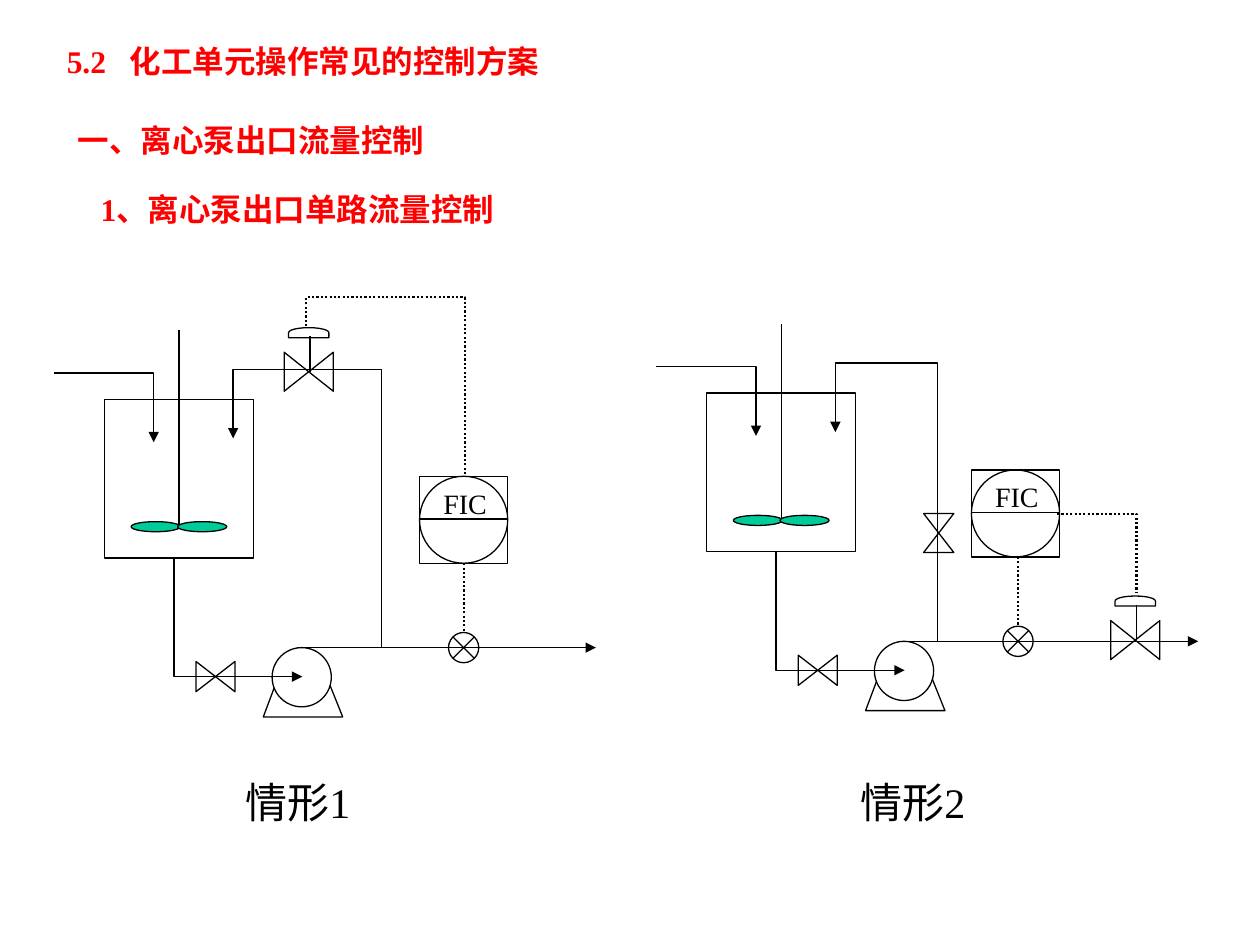
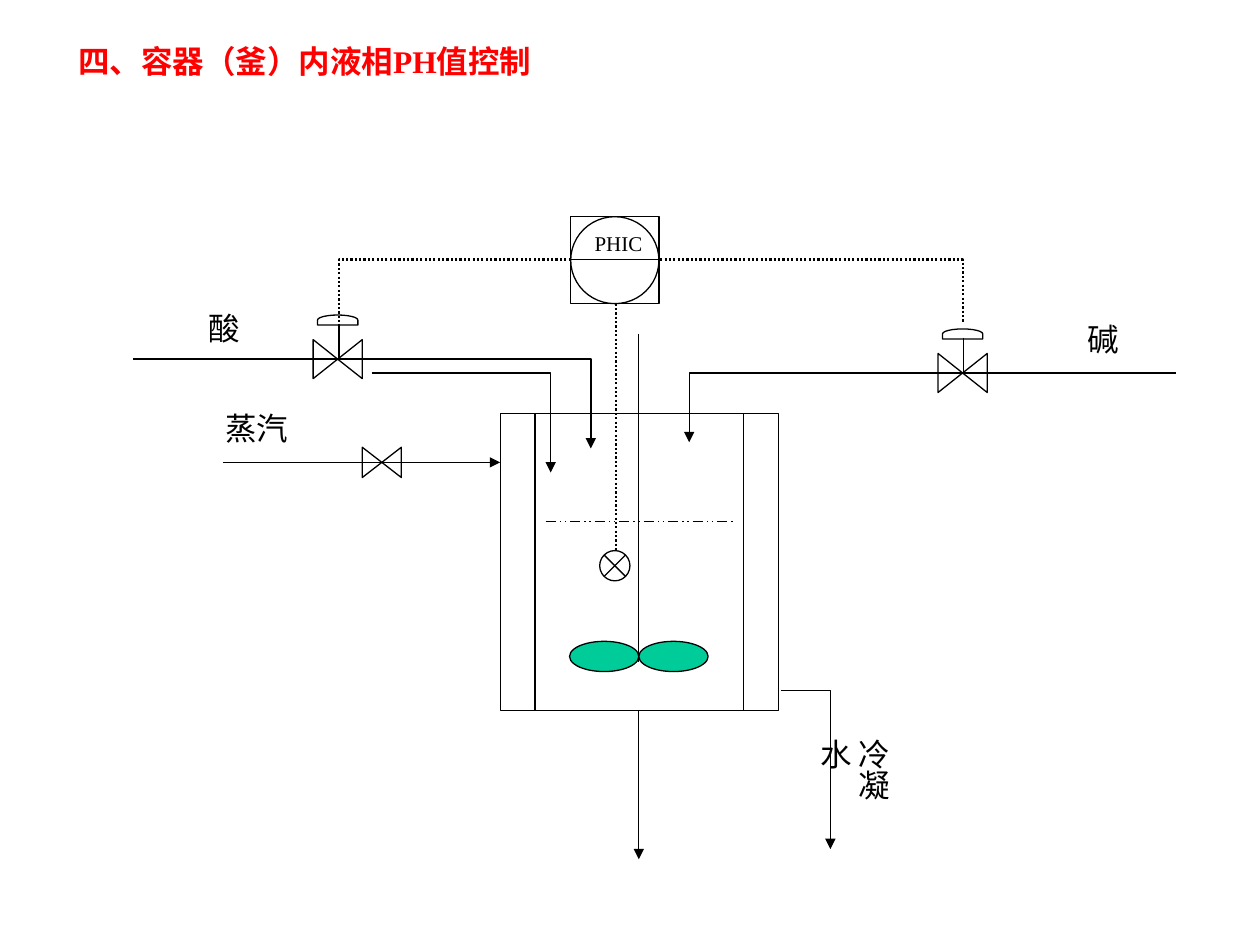
from dataclasses import dataclass

from lxml.etree import SubElement
from pptx import Presentation
from pptx.dml.color import RGBColor
from pptx.enum.dml import MSO_LINE as Dash
from pptx.enum.shapes import MSO_CONNECTOR, MSO_SHAPE as Preset
from pptx.enum.text import MSO_ANCHOR, MSO_AUTO_SIZE, PP_ALIGN
from pptx.oxml.ns import qn
from pptx.util import Inches, Pt


@dataclass(frozen=True)
class Theme:
    font: str = "Times New Roman"
    heading: RGBColor = RGBColor(0xFF, 0, 0)
    ink: RGBColor = RGBColor(0, 0, 0)
    paper: RGBColor = RGBColor(0xFF, 0xFF, 0xFF)
    blade: RGBColor = RGBColor(0, 0xCC, 0x99)
    body_size: float = 18
    caption_size: float = 24
    line: float = 0.75
    signal: float = 1.25


THEME = Theme()

FLOW_TITLE = ("5.2\t化工单元操作常见的控制方案", (0.43, 0.28, 6.85, 0.4))
FLOW_HEADINGS = [
    ("一、离心泵出口流量控制", (0.52, 0.91, 4.72, 0.4)),
    ("1、离心泵出口单路流量控制", (0.7, 1.46, 4.72, 0.4)),
]
FLOW_CASES = [
    dict(
        caption=("情形1", (1.85, 6.11, 1.18, 0.5)),
        tank=(0.83, 3.17),
        recycle_x=3.03,
        control_valve=(2.45, 2.95),
        hand_valve=None,
        controller=(3.33, 3.78),
        sensor_x=3.68,
        signal=[(2.43, 2.59), (2.43, 2.36), (3.69, 2.36), (3.69, 3.77)],
    ),
    dict(
        caption=("情形2", (6.73, 6.11, 1.18, 0.5)),
        tank=(5.61, 3.12),
        recycle_x=7.44,
        control_valve=(9.01, 5.08),
        hand_valve=(7.45, 4.23),
        controller=(7.71, 3.73),
        sensor_x=8.08,
        signal=[(8.39, 4.08), (9.02, 4.08), (9.02, 4.71)],
    ),
]

PH_TITLE = ("四、容器（釜）内液相PH值控制", (0.52, 0.28, 4.72, 0.4))
PH_LABELS = [
    ("蒸汽", (1.69, 3.2, 0.79, 0.4)),
    ("碱", (8.53, 2.49, 0.48, 0.4)),
    ("酸", (1.56, 2.4, 0.53, 0.4)),
]
CONDENSATE = ("冷凝水", (6.63, 5.76, 0.5, 0.87))
PH_FLOWS = [
    [(2.95, 2.96), (4.37, 2.96), (4.37, 3.75)],
    [(5.07, 5.64), (5.07, 6.82)],
    [(1.77, 3.67), (3.97, 3.67)],
    [(6.2, 5.48), (6.59, 5.48), (6.59, 6.74)],
    [(1.06, 2.85), (4.69, 2.85), (4.69, 3.56)],
    [(9.33, 2.96), (5.47, 2.96), (5.47, 3.51)],
]
PH_SIGNALS = [
    [(4.89, 2.41), (4.89, 4.38)],
    [(4.53, 2.06), (2.69, 2.06), (2.69, 2.57)],
    [(5.24, 2.06), (7.64, 2.06), (7.64, 2.57)],
]
PH_VALVES = [(2.68, 2.85), (7.64, 2.96)]


def write(frame, text, size, color, bold=False):
    frame.word_wrap = True
    frame.auto_size = MSO_AUTO_SIZE.SHAPE_TO_FIT_TEXT
    frame.vertical_anchor = MSO_ANCHOR.TOP
    paragraph = frame.paragraphs[0]
    paragraph.alignment = PP_ALIGN.LEFT
    if "\t" in text:
        stops = SubElement(paragraph._p.get_or_add_pPr(), qn("a:tabLst"))
        SubElement(stops, qn("a:tab"), pos=str(Inches(0.5)), algn="l")
    run = paragraph.add_run()
    run.text = text
    run.font.name = THEME.font
    run.font.size = Pt(size)
    run.font.bold = bold
    run.font.color.rgb = color


def label(slide, text, box, size=THEME.body_size, color=THEME.ink, bold=False):
    frame = slide.shapes.add_textbox(*map(Inches, box)).text_frame
    write(frame, text, size, color, bold)
    return frame


def titled_slide(deck, text, box):
    slide = deck.slides.add_slide(deck.slide_layouts[5])
    title = slide.shapes.title
    title.left, title.top, title.width, title.height = map(Inches, box)
    write(title.text_frame, text, THEME.body_size, THEME.heading, True)
    return slide


def ink_line(item, width=THEME.line, dash=None):
    item.line.color.rgb = THEME.ink
    item.line.width = Pt(width)
    if dash:
        item.line.dash_style = dash


def symbol(slide, preset, box, fill=None, turn=0):
    item = slide.shapes.add_shape(preset, *map(Inches, box))
    item.shadow.inherit = False
    item.rotation = turn
    if fill is None:
        item.fill.background()
    else:
        item.fill.solid()
        item.fill.fore_color.rgb = fill
    ink_line(item)


def centred(slide, preset, center, width, height, turn=0):
    x, y = center
    symbol(slide, preset, (x - width / 2, y - height / 2, width, height), turn=turn)


def outline(slide, points, close=False):
    corners = [(Inches(x), Inches(y)) for x, y in points]
    builder = slide.shapes.build_freeform(*corners[0])
    builder.add_line_segments(corners[1:], close=close)
    item = builder.convert_to_shape()
    item.shadow.inherit = False
    item.fill.background()
    return item


def pipe(slide, points, arrow=False, width=THEME.line, dash=None):
    if len(points) == 2:
        ends = [Inches(v) for point in points for v in point]
        item = slide.shapes.add_connector(MSO_CONNECTOR.STRAIGHT, *ends)
    else:
        item = outline(slide, points)
    ink_line(item, width, dash)
    properties = item._element.spPr
    if arrow:
        SubElement(properties.get_or_add_ln(), qn("a:tailEnd"), type="triangle")
    if len(points) == 2:
        SubElement(properties, qn("a:effectLst"))


def signal(slide, points):
    pipe(slide, points, width=THEME.signal, dash=Dash.ROUND_DOT)


def hand_valve(slide, center, turn=90):
    centred(slide, Preset.FLOWCHART_COLLATE, center, 0.24, 0.31, turn)


def control_valve(slide, center):
    x, y = center
    centred(slide, Preset.FLOWCHART_COLLATE, center, 0.31, 0.39, 270)
    pipe(slide, [(x + 0.01, y - 0.28), (x + 0.01, y)])
    centred(slide, Preset.FLOWCHART_DELAY, (x, y - 0.31), 0.08, 0.32, 270)


def sensor(slide, center):
    centred(slide, Preset.FLOWCHART_SUMMING_JUNCTION, center, 0.24, 0.24)


def controller(slide, corner, text, text_box, size):
    x, y = corner
    dx, dy, width, height = text_box
    for preset in (Preset.RECTANGLE, Preset.OVAL):
        symbol(slide, preset, (x, y, 0.7, 0.69))
    pipe(slide, [(x, y + 0.34), (x + 0.7, y + 0.34)])
    label(slide, text, (x + dx, y + dy, width, height), size)


def stirrer(slide, x, top, bottom, blades, blade_y, size):
    pipe(slide, [(x, top), (x, bottom)])
    for blade_x in blades:
        symbol(slide, Preset.OVAL, (blade_x, blade_y, *size), THEME.blade)


def pump_loop(slide, case):
    left, top = case["tank"]

    def at(*offsets):
        return [(left + dx, top + dy) for dx, dy in offsets]

    symbol(slide, Preset.RECTANGLE, (left, top, 1.18, 1.26))
    stirrer(slide, left + 0.59, top - 0.55, top + 1.02,
            (left + 0.21, left + 0.58), top + 0.97, (0.39, 0.08))
    pipe(slide, at((-0.4, -0.21), (0.39, -0.21), (0.39, 0.34)), arrow=True)

    base = outline(slide, at((1.89, 2.52), (1.73, 2.12), (1.41, 2.12), (1.26, 2.52)), True)
    ink_line(base)
    symbol(slide, Preset.OVAL, (left + 1.33, top + 1.97, 0.47, 0.47), THEME.paper)
    pipe(slide, at((0.55, 1.26), (0.55, 2.2), (1.57, 2.2)), arrow=True)
    hand_valve(slide, *at((0.88, 2.2)))

    pipe(slide, at((1.53, 1.97), (3.9, 1.97)), arrow=True)
    recycle = case["recycle_x"] - left
    pipe(slide, at((recycle, 1.97), (recycle, -0.24), (1.02, -0.24), (1.02, 0.31)), arrow=True)
    control_valve(slide, case["control_valve"])
    if case["hand_valve"]:
        hand_valve(slide, case["hand_valve"], 180)

    sensor_x = case["sensor_x"]
    sensor(slide, (sensor_x, top + 1.97))
    controller(slide, case["controller"], "FIC", (0.09, 0.03, 0.56, 0.37), 16)
    signal(slide, [(sensor_x, top + 1.3), (sensor_x, top + 1.85)])
    signal(slide, case["signal"])
    label(slide, *case["caption"], THEME.caption_size)


def flow_slide(deck):
    slide = titled_slide(deck, *FLOW_TITLE)
    for text, box in FLOW_HEADINGS:
        label(slide, text, box, color=THEME.heading, bold=True)
    for case in FLOW_CASES:
        pump_loop(slide, case)


def ph_slide(deck):
    slide = titled_slide(deck, *PH_TITLE)
    symbol(slide, Preset.FLOWCHART_PREDEFINED_PROCESS, (3.97, 3.28, 2.21, 2.36))
    stirrer(slide, 5.07, 2.65, 5.25, (4.52, 5.07), 5.09, (0.55, 0.24))
    for points in PH_FLOWS:
        pipe(slide, points, arrow=True)
    pipe(slide, [(4.33, 4.14), (5.82, 4.14)], dash=Dash.DASH_DOT_DOT)
    hand_valve(slide, (3.03, 3.67))
    controller(slide, (4.53, 1.72), "PHIC", (0.09, 0.06, 0.61, 0.3), 12)
    sensor(slide, (4.88, 4.49))
    for points in PH_SIGNALS:
        signal(slide, points)
    for center in PH_VALVES:
        control_valve(slide, center)
    for text, box in PH_LABELS:
        label(slide, text, box)
    condensate = label(slide, *CONDENSATE)
    condensate.margin_left = condensate.margin_right = Inches(0.05)
    condensate.margin_top = condensate.margin_bottom = Inches(0.1)
    condensate._txBody.bodyPr.set("vert", "eaVert")


def main():
    deck = Presentation()
    deck.slide_width, deck.slide_height = Inches(10), Inches(7.5)
    flow_slide(deck)
    ph_slide(deck)
    deck.save("out.pptx")


if __name__ == "__main__":
    main()
